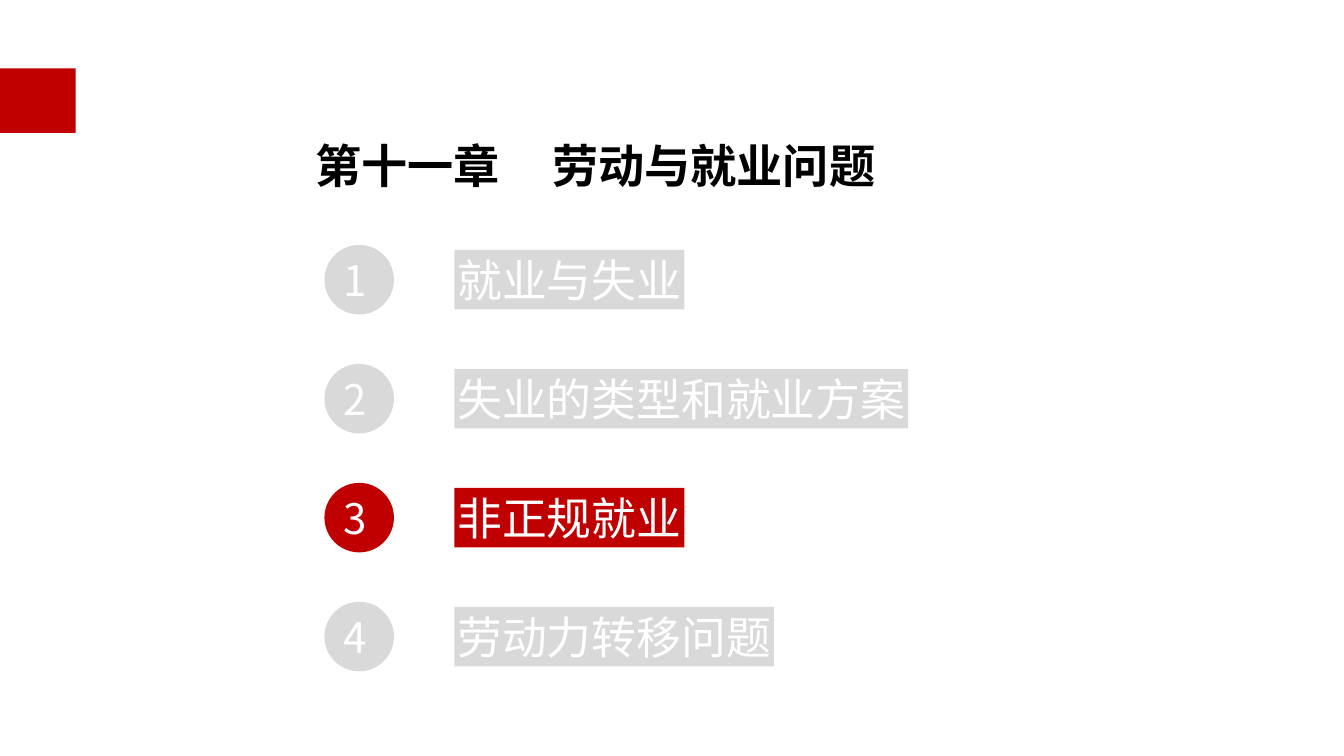
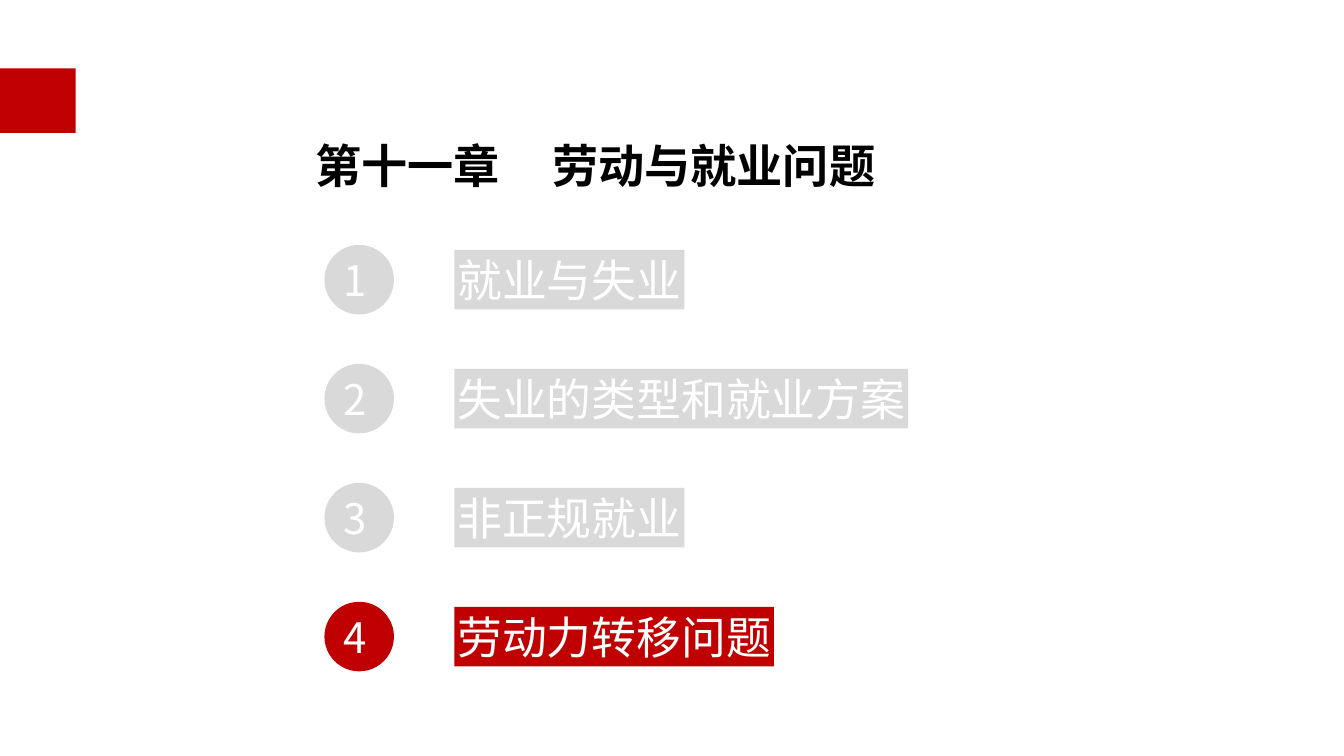
from dataclasses import dataclass

from lxml.etree import SubElement
from pptx import Presentation
from pptx.dml.color import RGBColor
from pptx.enum.shapes import MSO_SHAPE
from pptx.enum.text import MSO_ANCHOR, MSO_AUTO_SIZE, PP_ALIGN
from pptx.oxml.ns import qn
from pptx.util import Inches, Pt

COLORS = {"accent": "C00000", "muted": "D9D9D9", "light": "FFFFFF", "dark": "000000"}
HEADING_FONT = "Noto Sans CJK SC"
LABEL_FONT = "Calibri"

CHAPTER = "第十一章\t劳动与就业问题"
TOPICS = ["就业与失业", "失业的类型和就业方案", "非正规就业", "劳动力转移问题"]
ACTIVE_TOPICS = [3, 4]

# Agenda grid, in inches
CIRCLE_LEFT, CIRCLE_SIZE = 3.22, 0.69
LABEL_LEFT, LABEL_HEIGHT = 4.51, 0.59
FIRST_TOP, ROW_PITCH = 2.43, 1.18
PADDING = 0.03
LABEL_SIZE = 32


@dataclass
class TextStyle:
    font: str
    size: float
    color: str
    bold: bool = False


TITLE_STYLE = TextStyle(HEADING_FONT, 33, "dark", True)
NUMBER_STYLE = TextStyle(HEADING_FONT, 30, "light")
LABEL_STYLE = TextStyle(LABEL_FONT, LABEL_SIZE, "light")


def write_text(box, text: str, style: TextStyle, insets: tuple, wrap: bool):
    """Fill a shape with one left-aligned paragraph and return the paragraph."""
    frame = box.text_frame
    frame.text = text
    frame.auto_size = MSO_AUTO_SIZE.NONE
    frame.word_wrap = wrap
    frame.vertical_anchor = MSO_ANCHOR.MIDDLE
    (frame.margin_left, frame.margin_top,
     frame.margin_right, frame.margin_bottom) = map(Inches, insets)
    para = frame.paragraphs[0]
    para.alignment = PP_ALIGN.LEFT
    for span in para.runs:
        span.font.name = style.font
        span.font.size = Pt(style.size)
        span.font.bold = style.bold
        span.font.color.rgb = RGBColor.from_string(COLORS[style.color])
        properties = span.font._element
        properties.set("lang", "zh-CN")
        SubElement(properties, qn("a:ea")).set("typeface", style.font)
    return para


def add_block(page, kind, left: float, top: float, width: float, height: float, color: str):
    """Add a flat filled shape without an outline."""
    block = page.shapes.add_shape(kind, *map(Inches, (left, top, width, height)))
    block.shadow.inherit = False
    block.fill.solid()
    block.fill.fore_color.rgb = RGBColor.from_string(COLORS[color])
    block.line.fill.background()
    return block


def add_title(page, text: str) -> None:
    title = page.shapes.title
    title.left, title.top, title.width, title.height = map(Inches, (3.1, 1.06, 5.62, 0.88))
    para = write_text(title, text, TITLE_STYLE, (PADDING, PADDING, 0, PADDING), True)
    para.line_spacing = 1.5
    # Tab stop between chapter number and chapter name
    tabs = SubElement(para._p.get_or_add_pPr(), qn("a:tabLst"))
    tab = SubElement(tabs, qn("a:tab"))
    tab.set("pos", str(Inches(2.35)))
    tab.set("algn", "l")


def add_topic(page, number: int, text: str, active: bool) -> None:
    color = "accent" if active else "muted"
    top = FIRST_TOP + (number - 1) * ROW_PITCH
    circle = add_block(page, MSO_SHAPE.OVAL, CIRCLE_LEFT, top, CIRCLE_SIZE, CIRCLE_SIZE, color)
    write_text(circle, str(number), NUMBER_STYLE, (0.09, 0, 0, 0), True)

    # Label width follows the number of full-width characters
    width = len(text) * LABEL_SIZE / 72 + 2 * PADDING
    label_top = top + (CIRCLE_SIZE - LABEL_HEIGHT) / 2
    label = add_block(page, MSO_SHAPE.RECTANGLE, LABEL_LEFT, label_top, width, LABEL_HEIGHT, color)
    write_text(label, text, LABEL_STYLE, (PADDING,) * 4, False)


def add_layout_band(layout, page) -> None:
    """Draw the red band and move it to the layout shared by all slides."""
    band = add_block(page, MSO_SHAPE.RECTANGLE, 0, 0.68, 0.75, 0.64, "accent")
    layout.shapes.element.append(band.element)


def main() -> None:
    deck = Presentation()
    deck.slide_width, deck.slide_height = Inches(13.34), Inches(7.5)
    layout = deck.slide_layouts.get_by_name("Title Only")

    # One agenda slide per highlighted topic
    for active in ACTIVE_TOPICS:
        page = deck.slides.add_slide(layout)
        add_title(page, CHAPTER)
        for number, text in enumerate(TOPICS, start=1):
            add_topic(page, number, text, number == active)

    add_layout_band(layout, deck.slides[0])
    deck.save("out.pptx")


if __name__ == "__main__":
    main()
